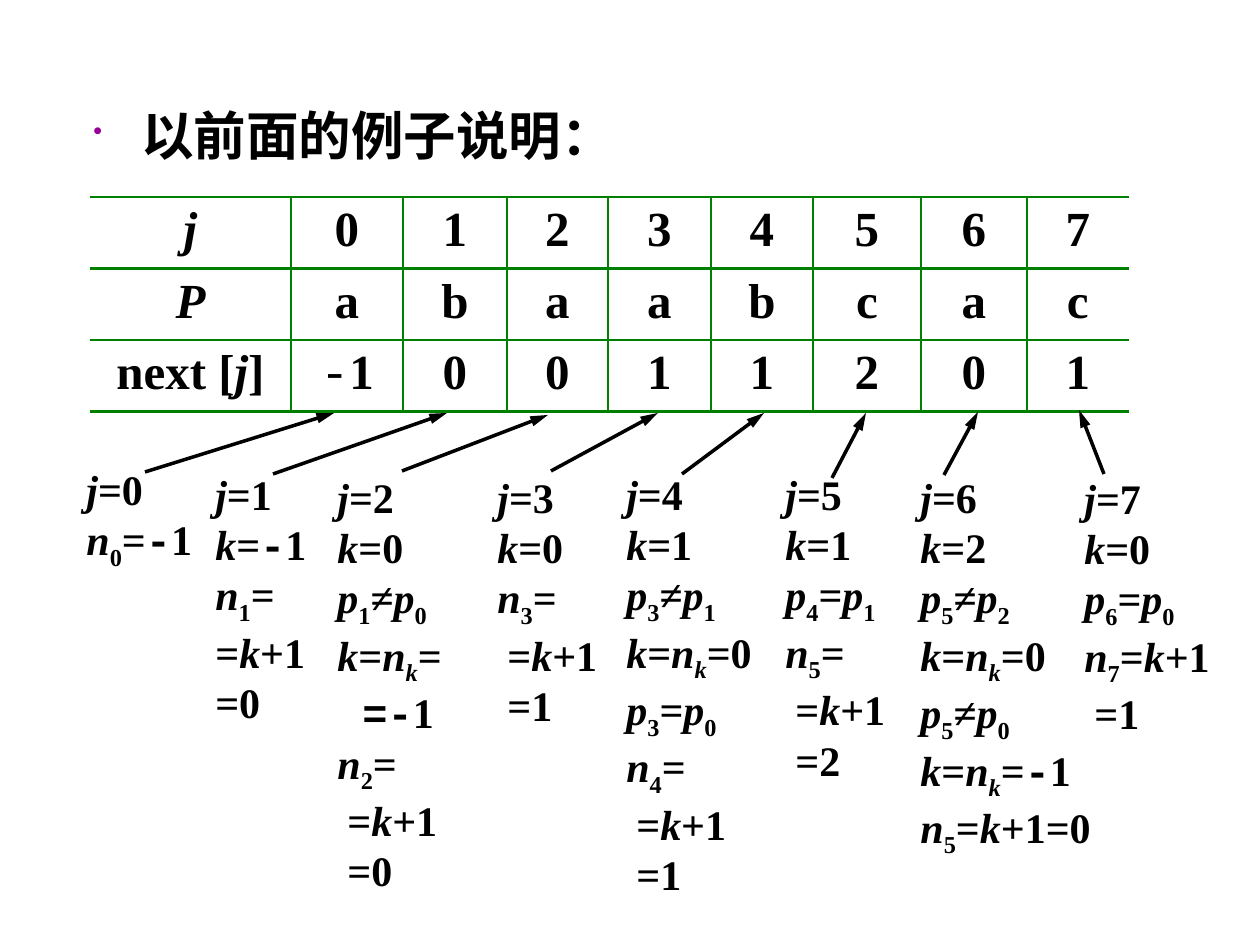
from dataclasses import dataclass
from itertools import groupby

from lxml.etree import SubElement
from pptx import Presentation
from pptx.dml.color import RGBColor
from pptx.enum.shapes import MSO_CONNECTOR
from pptx.enum.text import MSO_AUTO_SIZE, PP_ALIGN
from pptx.oxml.ns import qn
from pptx.util import Emu, Pt


@dataclass(frozen=True)
class Theme:
    ink: str = "000000"
    grid: str = "008000"
    bullet: str = "990099"
    head: str = "Arial"
    body: str = "Times New Roman"
    mono: str = "Courier New"
    title: int = 30
    cell: int = 28
    note: int = 24
    rule: float = 1.5
    arrow: int = 2


THEME = Theme()

TITLE = "以前面的例子说明："
COLS = [201, 112, 104, 101, 103, 102, 108, 106, 102]
ROWS = [
    ["j", "0", "1", "2", "3", "4", "5", "6", "7"],
    ["P", "a", "b", "a", "a", "b", "c", "a", "c"],
    ["next [j]", "-1", "0", "0", "1", "1", "2", "0", "1"],
]

# left, top, width, indent of continued lines, lines; "_" lowers the next letter
NOTES = [
    (74, 457, 132, 0, ["j=0", "n_0=-1"]),
    (203, 462, 116, 0, ["j=1", "k=-1", "n_1=", "=k+1", "=0"]),
    (325, 465, 131, 10, ["j=2", "k=0", "p_1≠p_0", "k=n_k=", "=-1", "n_2=", "=k+1", "=0"]),
    (485, 465, 126, 10, ["j=3", "k=0", "n_3=", "=k+1", "=1"]),
    (614, 462, 152, 10, ["j=4", "k=1", "p_3≠p_1", "k=n_k=0", "p_3=p_0", "n_4=", "=k+1", "=1"]),
    (773, 462, 126, 10, ["j=5", "k=1", "p_4=p_1", "n_5=", "=k+1", "=2"]),
    (908, 465, 198, 10, ["j=6", "k=2", "p_5≠p_2", "k=n_k=0", "p_5≠p_0", "k=n_k=-1", "n_5=k+1=0"]),
    (1072, 466, 152, 10, ["j=7", "k=0", "p_6=p_0", "n_7=k+1", "=1"]),
]
ARROWS = [
    (145, 472, 334, 413), (273, 474, 447, 413), (402, 471, 548, 415), (551, 471, 658, 413),
    (682, 474, 764, 413), (832, 478, 866, 413), (944, 475, 978, 412), (1104, 474, 1079, 410),
]


def px(n):
    return Emu(round(n * 914400 / 126))


def color(code):
    return RGBColor.from_string(code)


def style(par, name, size):
    font = par.font
    font.name, font.size, font.bold = name, Pt(size), True
    font.color.rgb = color(THEME.ink)


def marks(line, slant):
    """Yield each letter with its (italic, lowered, mono) look."""
    low = False
    for i, char in enumerate(line):
        if char == "_":
            low = True
            continue
        mono = char == "-" or (i == 0 and line.startswith("=-"))
        yield char, (char in slant, low, mono)
        low = False


def write(par, line, slant, bold=True):
    """Add a formula; bold is the weight of its minus sign."""
    for look, group in groupby(marks(line, slant), key=lambda mark: mark[1]):
        run = par.add_run()
        run.text = "".join(char for char, _ in group)
        italic, low, mono = look
        if italic:
            run.font.italic = True
        if low:
            run._r.get_or_add_rPr().set("baseline", "-25000")
        if mono:
            run.font.name, run.font.bold = THEME.mono, bold


def add_title(slide):
    frame = slide.shapes.add_textbox(px(81), px(97), px(1092), px(93)).text_frame
    frame.word_wrap = True
    par = frame.paragraphs[0]
    par.text = TITLE
    props = par._p.get_or_add_pPr()
    props.set("marL", str(px(48)))
    props.set("indent", str(px(-48)))
    SubElement(SubElement(props, qn("a:buClr")), qn("a:srgbClr"), val=THEME.bullet)
    SubElement(props, qn("a:buSzPct"), val="50000")
    SubElement(props, qn("a:buChar"), char="•")
    style(par, THEME.head, THEME.title)


def border(cell, sides):
    props = cell._tc.get_or_add_tcPr()
    for side in ("L", "R", "T", "B"):
        shown = side in sides
        width = Pt(THEME.rule) if shown else 0
        line = SubElement(props, qn(f"a:ln{side}"), w=str(width))
        if shown:
            fill = SubElement(line, qn("a:solidFill"))
            SubElement(fill, qn("a:srgbClr"), val=THEME.grid)
        else:
            SubElement(line, qn("a:noFill"))


def add_grid(slide):
    table = slide.shapes.add_table(
        len(ROWS), len(COLS), px(90), px(197), px(sum(COLS)), px(71 * len(ROWS))
    ).table
    table.first_row = table.horz_banding = False
    for col, width in zip(table.columns, COLS):
        col.width = px(width)
    for r, row in enumerate(ROWS):
        table.rows[r].height = px(71)
        for c, text in enumerate(row):
            cell = table.cell(r, c)
            left = "L" if c else ""
            right = "R" if c < len(COLS) - 1 else ""
            border(cell, "TB" + left + right)
            cell.fill.background()
            par = cell.text_frame.paragraphs[0]
            par.alignment = PP_ALIGN.CENTER
            style(par, THEME.body, THEME.cell)
            write(par, text, "jP", bold=False)


def add_note(slide, left, top, width, indent, lines):
    box = slide.shapes.add_textbox(px(left), px(top), px(width), px(13 + 50 * len(lines)))
    frame = box.text_frame
    frame.word_wrap = False
    frame.auto_size = MSO_AUTO_SIZE.SHAPE_TO_FIT_TEXT
    for i, line in enumerate(lines):
        par = frame.add_paragraph() if i else frame.paragraphs[0]
        if line.startswith("="):
            shift = 25 if line.startswith("=-") else indent
            par._p.get_or_add_pPr().set("marL", str(px(shift)))
        style(par, THEME.body, THEME.note)
        write(par, line, "jknp")


def add_arrow(slide, x1, y1, x2, y2):
    arrow = slide.shapes.add_connector(MSO_CONNECTOR.STRAIGHT, px(x1), px(y1), px(x2), px(y2))
    arrow.line.color.rgb = color(THEME.ink)
    arrow.line.width = Pt(THEME.arrow)
    SubElement(arrow.line._get_or_add_ln(), qn("a:tailEnd"), type="triangle", w="med", len="lg")
    SubElement(arrow._element.spPr, qn("a:effectLst"))


def main():
    deck = Presentation()
    deck.slide_width, deck.slide_height = px(1260), px(945)
    slide = deck.slides.add_slide(deck.slide_layouts[6])
    add_title(slide)
    add_grid(slide)
    for note in NOTES:
        add_note(slide, *note)
    for arrow in ARROWS:
        add_arrow(slide, *arrow)
    deck.save("out.pptx")


if __name__ == "__main__":
    main()
